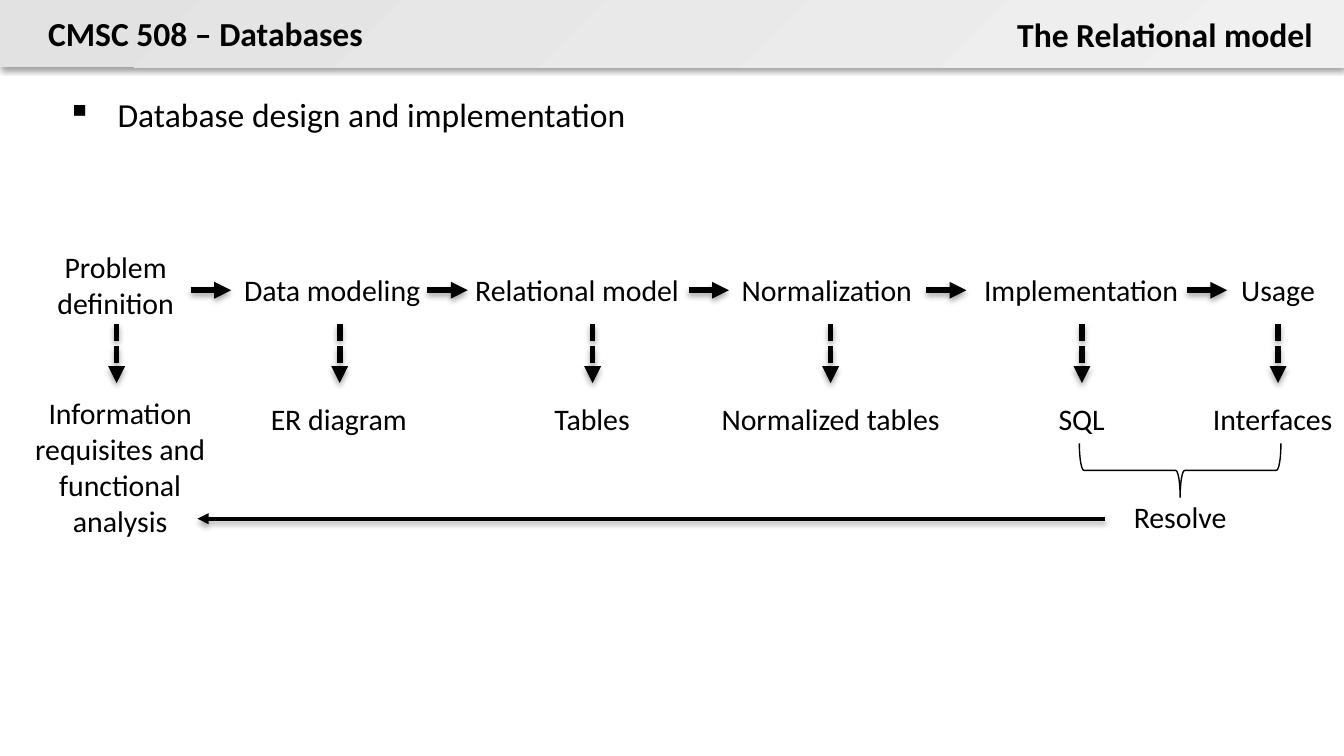
"""Build the slide on database design steps and their outputs."""
import lxml.etree
import pptx
import pptx.dml.color
import pptx.enum.dml
import pptx.enum.shapes
import pptx.enum.text
import pptx.oxml
import pptx.oxml.ns
import pptx.util

Pt = pptx.util.Pt
Align = pptx.enum.text.PP_ALIGN
Shape = pptx.enum.shapes.MSO_SHAPE
qn = pptx.oxml.ns.qn
BLACK = pptx.dml.color.RGBColor(0x00, 0x00, 0x00)
HEADER_START = pptx.dml.color.RGBColor(0xE2, 0xE2, 0xE2)
HEADER_END = pptx.dml.color.RGBColor(0xF0, 0xF0, 0xF0)


def write_text(shape, place, lines, size=16, align=Align.CENTER, bold=False, wrap=False):
    shape.left, shape.top, shape.width, shape.height = [Pt(value) for value in place]
    frame = shape.text_frame
    frame.word_wrap = wrap
    frame.auto_size = pptx.enum.text.MSO_AUTO_SIZE.NONE
    frame.vertical_anchor = pptx.enum.text.MSO_ANCHOR.TOP
    for index, line in enumerate(lines):
        para = frame.paragraphs[0] if index == 0 else frame.add_paragraph()
        para.alignment = align
        span = para.add_run()
        span.text = line
        span.font.name = "Calibri"
        span.font.size = Pt(size)
        span.font.bold = bold
        span.font.color.rgb = BLACK


def add_shadow(shape, alpha, distance):
    properties = shape._element.spPr
    effects = lxml.etree.SubElement(properties, qn("a:effectLst"))
    shadow = lxml.etree.SubElement(
        effects, qn("a:outerShdw"), blurRad=str(Pt(3.1)), dist=str(Pt(distance)),
        dir="5400000", rotWithShape="0")
    color = lxml.etree.SubElement(shadow, qn("a:srgbClr"), val=str(BLACK))
    lxml.etree.SubElement(color, qn("a:alpha"), val=str(alpha * 1000))


deck = pptx.Presentation()
deck.slide_width, deck.slide_height = Pt(720), Pt(405)
page = deck.slides.add_slide(deck.slide_layouts[5])
shapes = page.shapes

header = shapes.add_shape(Shape.RECTANGLE, 0, 0, Pt(720), Pt(36))
header.fill.gradient()
header.fill.gradient_angle = 315
for stop, color, position in zip(header.fill.gradient_stops, (HEADER_START, HEADER_END), (0, 1)):
    stop.color.rgb = color
    stop.position = position
header.line.fill.background()
add_shadow(header, 38, 1.6)
shapes._spTree.insert(2, header._element)

write_text(shapes.title, (536.4, 3.6, 174.2, 29), ["The Relational model"],
           18, Align.RIGHT, True)
course = shapes.add_textbox(0, 0, 0, 0)
write_text(course, (18.7, 3.6, 185, 29), ["CMSC 508 – Databases"], 18, Align.LEFT, True)

topic = shapes.add_textbox(0, 0, 0, 0)
bullet = topic.text_frame.paragraphs[0]._p.get_or_add_pPr()
bullet.set("marL", str(Pt(27)))
bullet.set("indent", str(Pt(-27)))
lxml.etree.SubElement(bullet, qn("a:buChar"), char="▪")
write_text(topic, (0, 36, 720, 36), ["Database design and implementation"],
           18, Align.LEFT, wrap=True)
topic.text_frame.margin_left = topic.text_frame.margin_right = Pt(36)
topic.text_frame.margin_top, topic.text_frame.margin_bottom = Pt(14.4), 0
topic.text_frame.paragraphs[0].space_after = Pt(10)

# each label: lines, centre, top, width, height
labels = [
    (["Problem", "definition"], 62, 129.6, 86.4, 51),
    (["Data modeling"], 178, 141.8, 122.4, 29.3),
    (["Relational model"], 309.2, 141.8, 139, 29.3),
    (["Normalization"], 443, 141.8, 119, 29.3),
    (["Implementation"], 579.2, 141.8, 133, 29.3),
    (["Usage"], 684.7, 141.8, 60.5, 29.3),
    (["Information requisites and functional analysis"], 64.4, 208, 130, 85),
    (["ER diagram"], 181.5, 211, 98, 29.3),
    (["Tables"], 317.2, 211, 61, 29.3),
    (["Normalized tables"], 445, 211, 147.6, 29.3),
    (["SQL"], 579.5, 211, 44, 29.3),
    (["Interfaces"], 681.8, 211, 83.5, 26.6),
    (["Resolve"], 632.2, 263.5, 64.8, 26.6),
]
for lines, centre, top, width, height in labels:
    label = shapes.add_textbox(0, 0, 0, 0)
    write_text(label, (centre - width / 2, top, width, height), lines, wrap=height > 50)

arrows = [(left, 155.5, left + 21.6, 155.5, 3, False)
          for left in (102.2, 229, 368.9, 496.1, 635.8)]
arrows += [(centre, 173.5, centre, 205.2, 3, True)
           for centre in (62.5, 182, 317.5, 445, 579.6, 684.7)]
arrows.append((591.8, 277.9, 105.8, 277.9, 2, False))
for start_x, start_y, end_x, end_y, weight, dashed in arrows:
    arrow = shapes.add_connector(
        pptx.enum.shapes.MSO_CONNECTOR.STRAIGHT,
        Pt(start_x), Pt(start_y), Pt(end_x), Pt(end_y))
    arrow.line.color.rgb = BLACK
    arrow.line.width = Pt(weight)
    if dashed:
        arrow.line.dash_style = pptx.enum.dml.MSO_LINE.SQUARE_DOT
    lxml.etree.SubElement(arrow.line._get_or_add_ln(), qn("a:tailEnd"), type="triangle")
    add_shadow(arrow, 35, 1.8)

brace = shapes.add_shape(Shape.RIGHT_BRACE, Pt(617.8), Pt(198), Pt(28.8), Pt(108))
brace.rotation = 90
brace.shadow.inherit = False
brace.fill.background()
brace.line.color.rgb = BLACK
brace.line.width = Pt(0.75)

deck.save("out.pptx")
